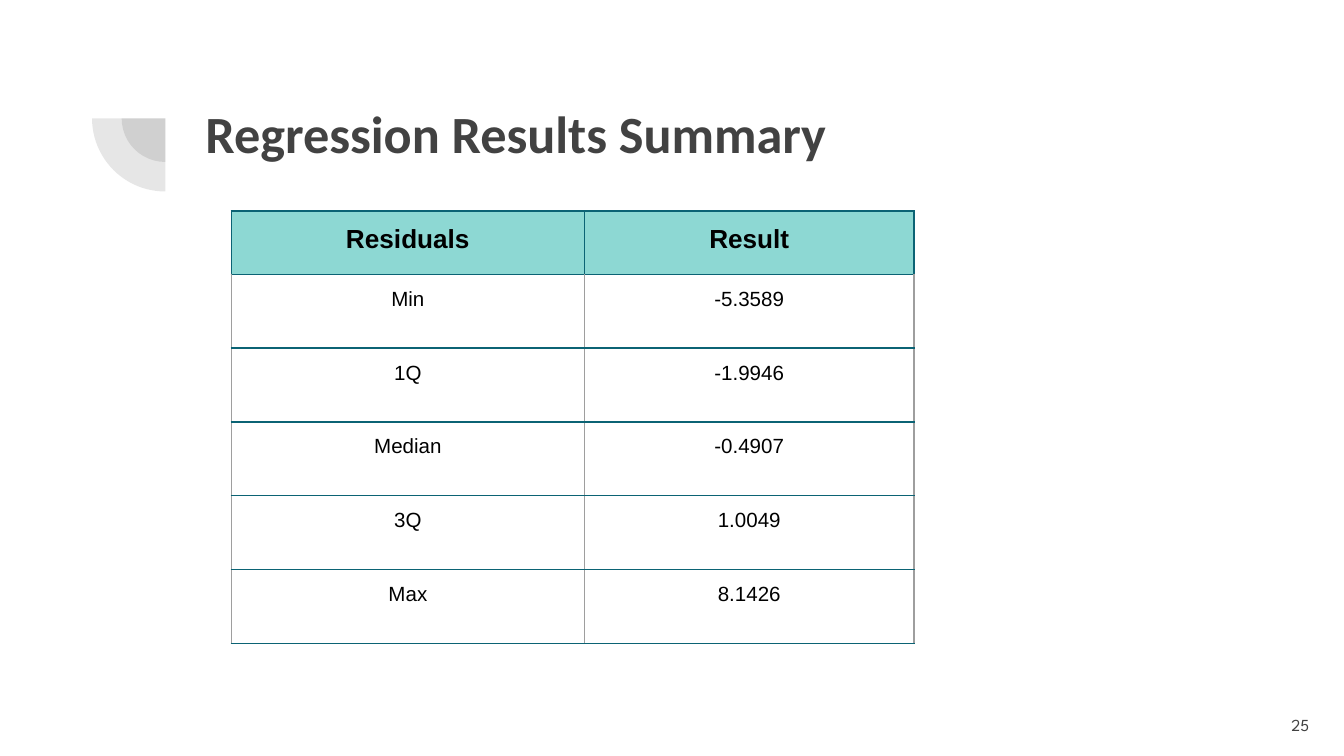
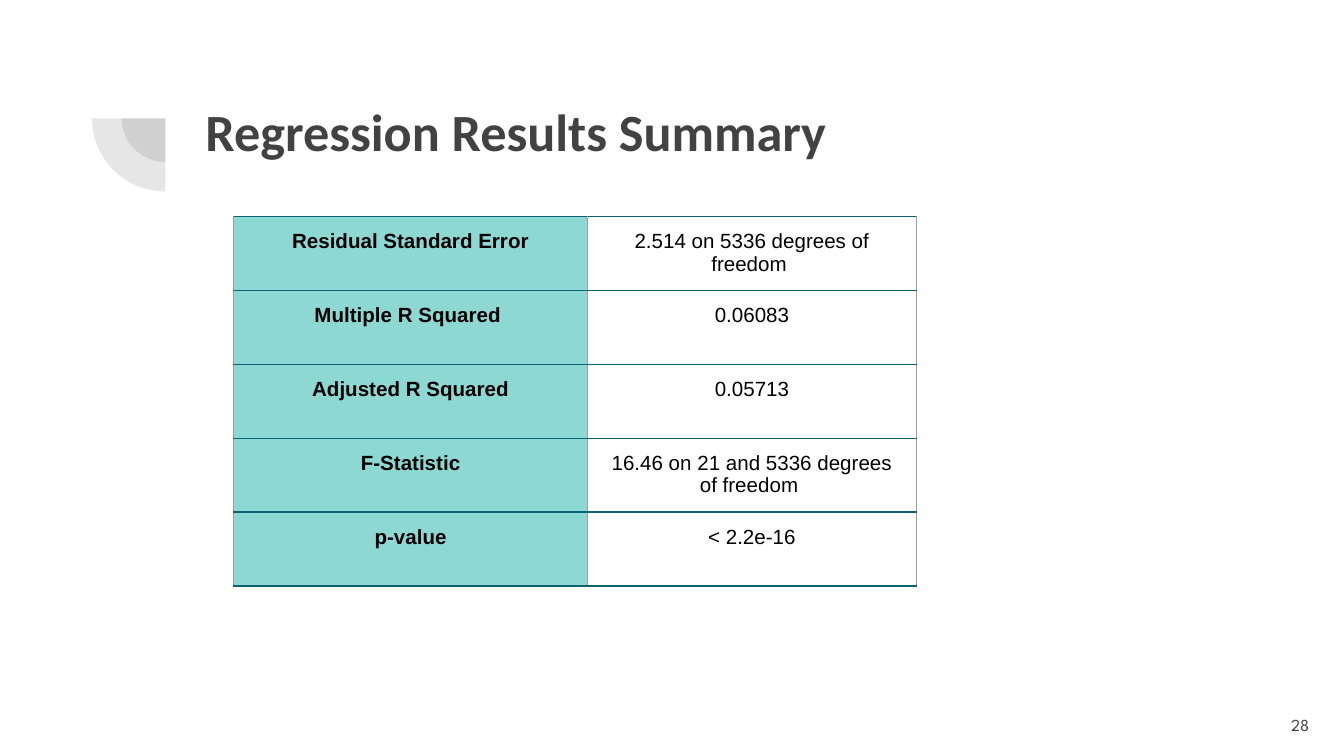
import dataclasses

import pptx
import pptx.dml.color
import pptx.enum.shapes
import pptx.enum.text
import pptx.oxml
import pptx.oxml.ns
import pptx.util
from pptx.util import Inches

ALIGN = pptx.enum.text.PP_ALIGN
ANCHOR = pptx.enum.text.MSO_ANCHOR


@dataclasses.dataclass(frozen=True)
class Theme:
    ink: str = "424242"
    table_text: str = "000000"
    header_fill: str = "8DD8D3"
    rule: str = "0B6374"
    side_rule: str = "9E9E9E"
    title_font: str = "Calibri"
    table_font: str = "Arial"
    number_font: str = "League Spartan"
    title_size: float = 28
    header_size: float = 14
    cell_size: float = 11
    number_size: float = 9
    rule_width: float = 0.75
    inset: float = 0.1
    cell_bottom_inset: float = 0.08
    motif_opacity: int = 13


THEME = Theme()
SLIDE_WIDTH = 10
COLUMN_WIDTHS = (2.63, 2.45)
TABLE_FRAME_SIZE = 3.28
HEADER_HEIGHT = 0.47
ROW_HEIGHT = 0.55

RESIDUALS = [
    ("Residuals", "Result"),
    ("Min", "-5.3589"),
    ("1Q", "-1.9946"),
    ("Median", "-0.4907"),
    ("3Q", "1.0049"),
    ("Max", "8.1426"),
]
MODEL_FIT = [
    ("Residual Standard Error", "2.514 on 5336 degrees of freedom "),
    ("Multiple R Squared ", "0.06083"),
    ("Adjusted R Squared", "0.05713"),
    ("F-Statistic", "16.46 on 21 and 5336 degrees of freedom "),
    ("p-value", "< 2.2e-16"),
]


def rgb(color):
    return pptx.dml.color.RGBColor.from_string(color)


def write_text(frame, text, *, font, size, color, bold=False, align=ALIGN.LEFT):
    paragraph = frame.paragraphs[0]
    paragraph.alignment = align
    run = paragraph.add_run()
    run.text = text
    run.font.name = font
    run.font.size = pptx.util.Pt(size)
    run.font.bold = bold
    run.font.color.rgb = rgb(color)


def set_margins(holder, bottom=THEME.inset):
    """Give a text frame or a table cell the shared insets."""
    for side in ("left", "top", "right"):
        setattr(holder, f"margin_{side}", Inches(THEME.inset))
    holder.margin_bottom = Inches(bottom)


def add_text_box(slide, box, text, *, anchor=ANCHOR.TOP, **text_format):
    frame = slide.shapes.add_textbox(*map(Inches, box)).text_frame
    frame.word_wrap = True
    set_margins(frame)
    frame.vertical_anchor = anchor
    write_text(frame, text, **text_format)


def add_corner_motif(slide, center_x, center_y, diameters):
    """Draw translucent quarter discs that share one centre."""
    for diameter in diameters:
        disc = slide.shapes.add_shape(
            pptx.enum.shapes.MSO_SHAPE.PIE,
            Inches(center_x - diameter / 2), Inches(center_y - diameter / 2),
            Inches(diameter), Inches(diameter))
        disc.adjustments[0], disc.adjustments[1] = 108, 162
        disc.rotation = 270
        disc.shadow.inherit = False
        disc.line.fill.background()
        disc.fill.solid()
        disc.fill.fore_color.rgb = rgb(THEME.ink)
        color = disc.fill._xPr.find(".//" + pptx.oxml.ns.qn("a:srgbClr"))
        color.append(pptx.oxml.parse_xml(
            f'<a:alpha {pptx.oxml.ns.nsdecls("a")} '
            f'val="{THEME.motif_opacity * 1000}"/>'))


def set_borders(cell, side_color):
    properties = cell._tc.get_or_add_tcPr()
    width = pptx.util.Pt(THEME.rule_width)
    colors = {"L": side_color, "R": side_color, "T": THEME.rule, "B": THEME.rule}
    for side, color in colors.items():
        properties.append(pptx.oxml.parse_xml(
            f'<a:ln{side} {pptx.oxml.ns.nsdecls("a")} w="{width}">'
            f'<a:solidFill><a:srgbClr val="{color}"/></a:solidFill>'
            f'</a:ln{side}>'))


def fill_cell(cell, text, *, shaded, top_header):
    set_margins(cell, THEME.cell_bottom_inset)
    set_borders(cell, THEME.rule if top_header else THEME.side_rule)
    if shaded:
        cell.fill.solid()
        cell.fill.fore_color.rgb = rgb(THEME.header_fill)
    else:
        cell.fill.background()
    write_text(cell.text_frame, text, font=THEME.table_font,
               size=THEME.header_size if top_header else THEME.cell_size,
               color=THEME.table_text, bold=shaded, align=ALIGN.CENTER)


def add_results_table(slide, left, top, rows, header_on_top):
    """Shade the first row if header_on_top, otherwise the first column."""
    heights = [ROW_HEIGHT] * len(rows)
    if header_on_top:
        heights[0] = HEADER_HEIGHT
    frame = slide.shapes.add_table(
        len(rows), len(COLUMN_WIDTHS), Inches(left), Inches(top),
        Inches(sum(COLUMN_WIDTHS)), Inches(sum(heights)))
    table = frame.table
    table.first_row = table.horz_banding = False
    for column, width in zip(table.columns, COLUMN_WIDTHS):
        column.width = Inches(width)
    for row_index, (texts, height) in enumerate(zip(rows, heights)):
        table.rows[row_index].height = Inches(height)
        for column_index, text in enumerate(texts):
            top_header = header_on_top and row_index == 0
            row_label = not header_on_top and column_index == 0
            fill_cell(table.cell(row_index, column_index), text,
                      shaded=top_header or row_label, top_header=top_header)
    frame.width = frame.height = Inches(TABLE_FRAME_SIZE)


def add_results_slide(presentation, number, title_top, table_corner, rows,
                      header_on_top):
    slide = presentation.slides.add_slide(presentation.slide_layouts[6])
    add_corner_motif(slide, 1.23, 0.88, (0.65, 1.09))
    add_text_box(slide, (1.43, title_top, 7.69, 1.09),
                 "Regression Results Summary", font=THEME.title_font,
                 size=THEME.title_size, color=THEME.ink, bold=True)
    add_results_table(slide, *table_corner, rows, header_on_top)
    add_text_box(slide, (9.24, 5.18, 0.6, 0.43), str(number),
                 anchor=ANCHOR.MIDDLE, font=THEME.number_font,
                 size=THEME.number_size, color=THEME.ink, align=ALIGN.RIGHT)


def main():
    presentation = pptx.Presentation()
    presentation.slide_width = Inches(SLIDE_WIDTH)
    presentation.slide_height = Inches(SLIDE_WIDTH * 9 / 16)
    add_results_slide(presentation, 25, 0.65, (1.72, 1.57), RESIDUALS, True)
    add_results_slide(presentation, 28, 0.64, (1.74, 1.61), MODEL_FIT, False)
    presentation.save("out.pptx")


if __name__ == "__main__":
    main()
